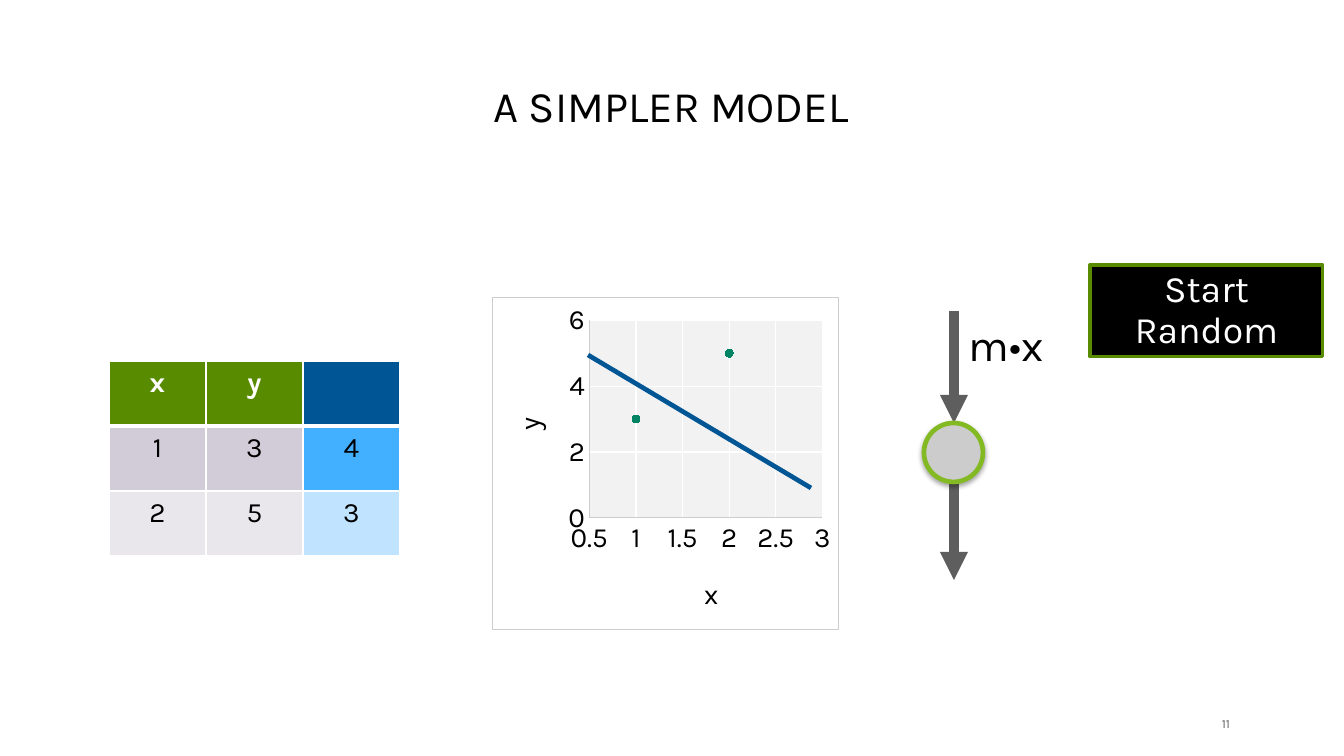
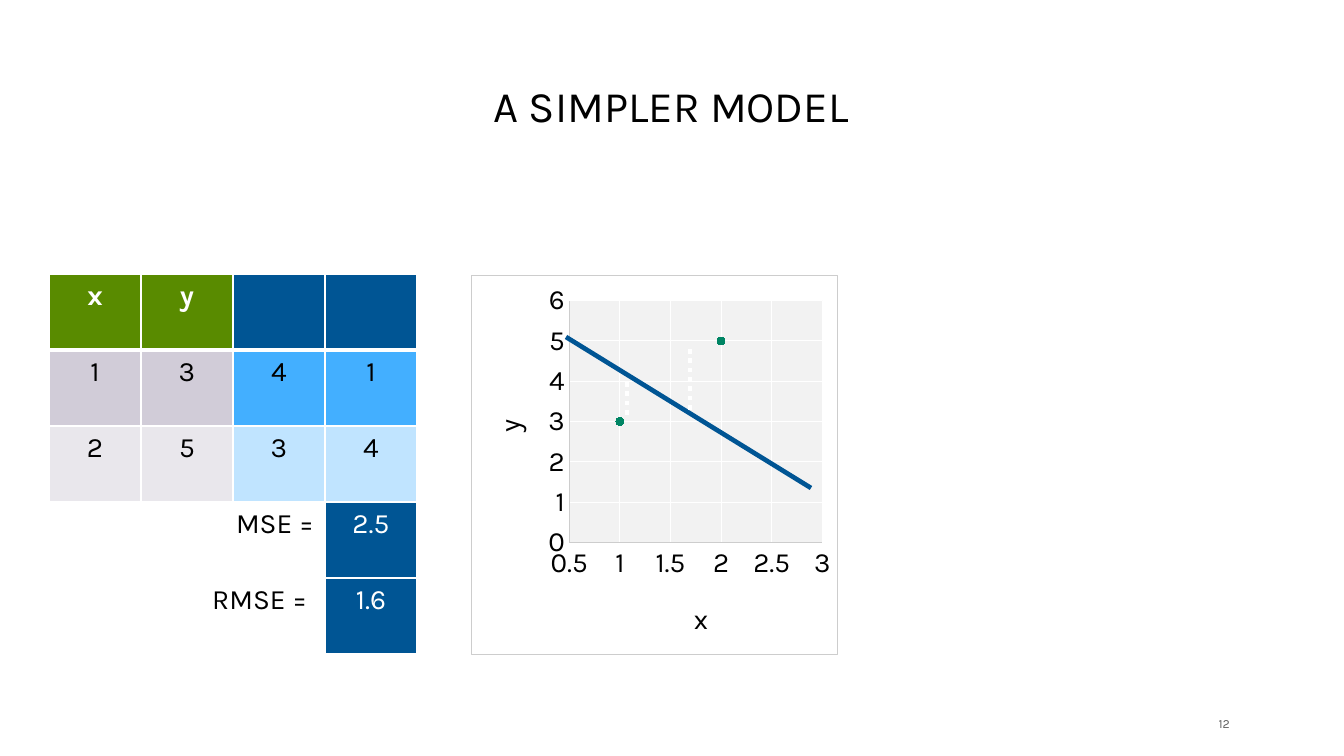
from pptx import Presentation
from pptx.chart.data import XyChartData
from pptx.dml.color import RGBColor
from pptx.enum.chart import XL_CHART_TYPE, XL_MARKER_STYLE, XL_TICK_MARK
from pptx.enum.dml import MSO_LINE
from pptx.enum.shapes import MSO_CONNECTOR, MSO_SHAPE
from pptx.enum.text import MSO_ANCHOR, PP_ALIGN
from pptx.oxml import parse_xml
from pptx.oxml.ns import nsdecls, qn
from pptx.util import Pt

BLACK = RGBColor(0x00, 0x00, 0x00)
WHITE = RGBColor(0xFF, 0xFF, 0xFF)
GRAY = RGBColor(0x5E, 0x5E, 0x5E)
SILVER = RGBColor(0xCC, 0xCC, 0xCC)
AXIS = RGBColor(0xCD, 0xCD, 0xCD)
PLOT = RGBColor(0xF2, 0xF2, 0xF2)
GREEN = RGBColor(0x59, 0x8B, 0x00)
LIME = RGBColor(0x83, 0xBA, 0x24)
TEAL = RGBColor(0x00, 0x85, 0x64)
BLUE = RGBColor(0x00, 0x55, 0x94)
SKY = RGBColor(0x43, 0xAF, 0xFF)
ICE = RGBColor(0xC0, 0xE4, 0xFF)
LILAC = RGBColor(0xD1, 0xCC, 0xD8)
PALE = RGBColor(0xE9, 0xE7, 0xEC)

ROW_FILLS = [(GREEN, BLUE), (LILAC, SKY), (PALE, ICE)]
POINTS = [(1, 3), (2, 5), (2.6, None)]
FONT = "Karla"
SCALE = 914400 / 112

CENTER, RIGHT = PP_ALIGN.CENTER, PP_ALIGN.RIGHT
MIDDLE, BOTTOM = MSO_ANCHOR.MIDDLE, MSO_ANCHOR.BOTTOM
RECT, OVAL = MSO_SHAPE.RECTANGLE, MSO_SHAPE.OVAL
STRAIGHT = MSO_CONNECTOR.STRAIGHT
DOTTED = MSO_LINE.ROUND_DOT
SCATTER = XL_CHART_TYPE.XY_SCATTER
CIRCLE = XL_MARKER_STYLE.CIRCLE
NO_TICK = XL_TICK_MARK.NONE


def px(*values):
    return [round(v * SCALE) for v in values]


def fill_line_xml(fill="<a:noFill/>", line="<a:ln><a:noFill/></a:ln>"):
    return parse_xml(f'<c:spPr {nsdecls("c", "a")}>{fill}{line}</c:spPr>')


def solid_xml(color):
    return f'<a:solidFill><a:srgbClr val="{color}"/></a:solidFill>'


def set_layout(parent, index, **sizes):
    old = parent.find(qn("c:layout"))
    if old is not None:
        parent.remove(old)
    target = '<c:layoutTarget val="inner"/>' if "w" in sizes else ""
    modes = "".join(f'<c:{k}Mode val="edge"/>' for k in "xy")
    values = "".join(f'<c:{k} val="{v:.3f}"/>' for k, v in sizes.items())
    parent.insert(index, parse_xml(
        f'<c:layout {nsdecls("c")}><c:manualLayout>{target}{modes}{values}'
        '</c:manualLayout></c:layout>'))


class Deck:
    def __init__(self):
        self.prs = Presentation()
        self.prs.slide_width, self.prs.slide_height = px(1344, 756)

    def slide(self, title, number):
        self.s = self.prs.slides.add_slide(self.prs.slide_layouts[6])
        self.text(60, 64, 1222, 73, title, 28, anchor=BOTTOM)
        tf = self.text(1196, 715, 39, 20, number, 8, GRAY, RIGHT)
        tf.margin_left = tf.margin_top = tf.margin_bottom = 0
        tf.margin_right = px(5)[0]

    def font(self, font, size, color, bold=False):
        font.name, font.size, font.bold = FONT, Pt(size), bold
        font.color.rgb = color

    def set_text(self, tf, text, size, color, align=CENTER, bold=False):
        tf.text = text
        p = tf.paragraphs[0]
        p.alignment = align
        for r in p.runs:
            self.font(r.font, size, color, bold)
        return p

    def text(self, x, y, w, h, text, size, color=BLACK, align=CENTER,
             anchor=MIDDLE, wrap=True):
        tf = self.s.shapes.add_textbox(*px(x, y, w, h)).text_frame
        tf.word_wrap, tf.vertical_anchor = wrap, anchor
        self.set_text(tf, text, size, color, align).line_spacing = 0.9
        return tf

    def shape(self, kind, x, y, w, h, fill, line, weight):
        sp = self.s.shapes.add_shape(kind, *px(x, y, w, h))
        sp.shadow.inherit = False
        sp.fill.solid()
        sp.fill.fore_color.rgb = fill
        sp.line.color.rgb, sp.line.width = line, Pt(weight)
        return sp

    def button(self, x, y, w, h, text):
        tf = self.shape(RECT, x, y, w, h, BLACK, GREEN, 2).text_frame
        tf.word_wrap, tf.vertical_anchor = True, MIDDLE
        self.set_text(tf, text, 24, WHITE).line_spacing = 0.9

    def neuron(self, x, y, size):
        sp = self.shape(OVAL, x, y, size, size, SILVER, LIME, 3)
        effects = sp._element.spPr.find(qn("a:effectLst"))
        effects.append(parse_xml(
            f'<a:outerShdw {nsdecls("a")} blurRad="39400" dist="22900" '
            'dir="5400000" rotWithShape="0"><a:srgbClr val="000000">'
            '<a:alpha val="34000"/></a:srgbClr></a:outerShdw>'))

    def line(self, x1, y1, x2, y2, color, weight=3, dash=None, arrow=False):
        cn = self.s.shapes.add_connector(STRAIGHT, *px(x1, y1, x2, y2))
        cn.line.color.rgb, cn.line.width = color, Pt(weight)
        if dash:
            cn.line.dash_style = dash
        if arrow:
            cn.line._get_or_add_ln().append(
                parse_xml(f'<a:tailEnd {nsdecls("a")} type="triangle"/>'))
        cn._element.spPr.append(parse_xml(f'<a:effectLst {nsdecls("a")}/>'))

    def cell(self, cell, text, fill, color, align=CENTER, bold=False,
             top=1, bottom=1):
        self.set_text(cell.text_frame, text, 18, color, align, bold)
        if fill is None:
            cell.fill.background()
        else:
            cell.fill.solid()
            cell.fill.fore_color.rgb = fill
        tcPr = cell._tc.get_or_add_tcPr()
        for i, (side, weight) in enumerate(zip("LRTB", (1, 1, top, bottom))):
            tcPr.insert(i, parse_xml(
                f'<a:ln{side} {nsdecls("a")} w="{Pt(weight)}">'
                f'{solid_xml(WHITE)}</a:ln{side}>'))

    def table(self, x, y, col_w, row_h, rows, totals=()):
        n_rows, n_cols = len(rows) + len(totals), len(rows[0])
        table = self.s.shapes.add_table(
            n_rows, n_cols, *px(x, y, col_w * n_cols, row_h * n_rows)).table
        table.first_row = table.horz_banding = False
        for col in table.columns:
            col.width = px(col_w)[0]
        for row in table.rows:
            row.height = px(row_h)[0]
        for i, row in enumerate(rows):
            head = i == 0
            for j, text in enumerate(row):
                self.cell(table.cell(i, j), text, ROW_FILLS[i][j > 1],
                          WHITE if head else BLACK, bold=head,
                          top=3 if i == 1 else 1, bottom=3 if head else 1)
        for i, (label, value) in enumerate(totals, len(rows)):
            table.cell(i, 0).merge(table.cell(i, n_cols - 2))
            self.cell(table.cell(i, 0), label, None, BLACK, RIGHT)
            self.cell(table.cell(i, n_cols - 1), value, BLUE, WHITE)

    def axis(self, axis, title, low, high, step):
        axis.minimum_scale, axis.maximum_scale = low, high
        axis.major_unit = step
        axis.major_tick_mark = axis.minor_tick_mark = NO_TICK
        axis.has_major_gridlines = True
        for fmt, color in ((axis.format, AXIS),
                           (axis.major_gridlines.format, WHITE)):
            fmt.line.color.rgb, fmt.line.width = color, Pt(0.75)
        self.font(axis.tick_labels.font, 18, BLACK)
        self.set_text(axis.axis_title.text_frame, title, 18, BLACK)

    def chart(self, x, y, w, h, plot, y_step):
        data = XyChartData()
        series = data.add_series("Series 1")
        for point in POINTS:
            series.add_data_point(*point)
        chart = self.s.shapes.add_chart(SCATTER, *px(x, y, w, h), data).chart
        chart.has_legend = chart.has_title = False
        chart.font.name, chart.font.size = "Arial", Pt(10)
        chart.font.color.rgb = BLACK
        self.axis(chart.category_axis, "x", 0.5, 3, 0.5)
        self.axis(chart.value_axis, "y", 0, 6, y_step)

        chart.plots[0].vary_by_categories = False
        series = chart.plots[0].series[0]
        series.format.line.fill.background()
        series.marker.style, series.marker.size = CIRCLE, 5
        series.marker.format.fill.solid()
        series.marker.format.fill.fore_color.rgb = TEAL
        series.marker.format.line.color.rgb = TEAL

        root = chart._chartSpace
        for pt in list(root.iter(qn("c:pt"))):
            if pt.find(qn("c:v")).text in (None, "", "None"):
                pt.getparent().remove(pt)
        border = f'<a:ln w="{Pt(0.75)}">{solid_xml(AXIS)}</a:ln>'
        root.find(qn("c:chart")).addnext(fill_line_xml(line=border))
        area = next(root.iter(qn("c:plotArea")))
        area.append(fill_line_xml(solid_xml(PLOT)))

        left, top, width, height = plot
        set_layout(area, 0, x=left / w, y=top / h, w=width / w, h=height / h)
        x_title = chart.category_axis.axis_title._element
        y_title = chart.value_axis.axis_title._element
        set_layout(x_title, 1, x=(left + width / 2 - 7) / w,
                   y=(top + height + 53) / h)
        set_layout(y_title, 1, x=(left - 84) / w,
                   y=(top + height / 2 - 7) / h)
        next(y_title.iter(qn("a:bodyPr"))).set("rot", "-5400000")


def main():
    deck = Deck()

    deck.slide("A SIMPLER MODEL", "11")
    for top, bottom in ((311, 423), (483, 580)):
        deck.line(954, top, 954, bottom, GRAY, 6, arrow=True)
    deck.neuron(924, 423, 59)
    deck.table(109, 361, 97, 65,
               [("x", "y", ""), ("1", "3", "4"), ("2", "5", "3")])
    deck.chart(492, 297, 347, 333, (97, 23, 234, 198), 2)
    deck.button(1090, 265, 233, 92, "Start Random")
    deck.line(588, 355, 811, 488, BLUE)
    deck.text(949, 318, 115, 58, "m•x", 28, wrap=False)

    deck.slide("A SIMPLER MODEL", "12")
    deck.table(49, 274, 92, 76,
               [("x", "y", "", ""), ("1", "3", "4", "1"),
                ("2", "5", "3", "4")],
               [("MSE =", "2.5"), ("RMSE = ", "1.6")])
    deck.chart(471, 275, 367, 380, (98, 25, 254, 243), 1)
    deck.line(566, 337, 811, 488, BLUE)
    deck.line(627, 382, 627, 419, WHITE, dash=DOTTED)
    deck.line(690, 349, 690, 413, WHITE, dash=DOTTED)

    deck.prs.save("out.pptx")


if __name__ == "__main__":
    main()
